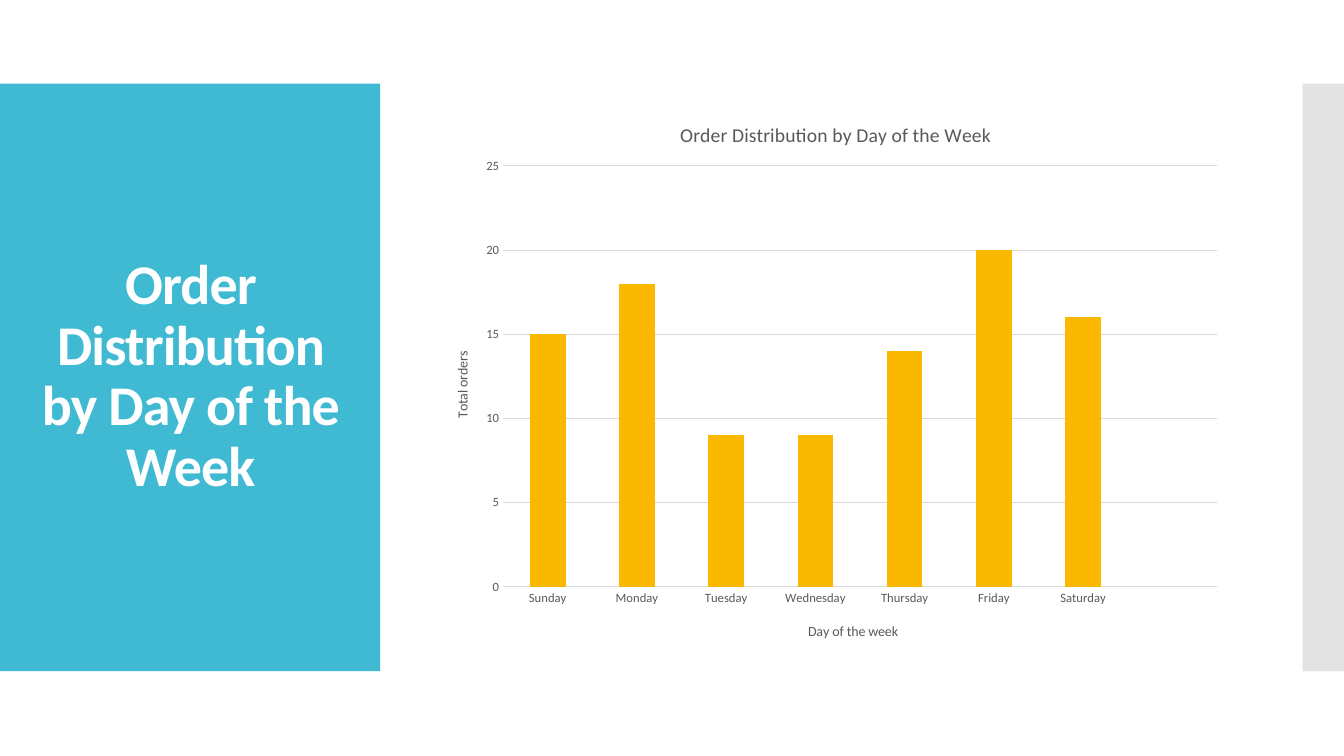
"""Build the slide on order distribution by day of the week."""
from dataclasses import dataclass
from typing import Optional

from lxml import etree
from pptx import Presentation
from pptx import util as u
from pptx.chart import data as feed
from pptx.dml.color import RGBColor
from pptx.enum import chart as kinds, shapes, text
from pptx.oxml import ns, parse_xml


@dataclass(frozen=True)
class Theme:
    """Hold colours and type sizes."""
    font: str = "Calibri"
    teal: str = "40BAD2"
    grey: str = "C8C8C8"
    gold: str = "FAB900"
    white: str = "FFFFFF"
    ink: str = "595959"
    grid: str = "D9D9D9"
    head: float = 40
    title: float = 14
    label: float = 10
    tick: float = 9
    rule: float = 0.75


@dataclass(frozen=True)
class Band:
    """Describe a side band of the slide."""
    left: float
    width: float
    fill: str
    alpha: Optional[int] = None


@dataclass(frozen=True)
class Label:
    """Describe a chart title and its place in the chart."""
    words: str
    size: float
    x: float
    y: float


THEME = Theme()
TOPIC = "Order Distribution by Day of the Week"
BANDS = [Band(0, 3.77, THEME.teal), Band(12.92, 0.42, THEME.grey, 50)]
ORDERS = {"Sunday": 15, "Monday": 18, "Tuesday": 9, "Wednesday": 9,
          "Thursday": 14, "Friday": 20, "Saturday": 16, "": None}
HEAD = Label(TOPIC, THEME.title, 0.31, 0.04)
DAYS = Label("Day of the week", THEME.label, 0.47, 0.93)
TOTAL = Label("Total orders", THEME.label, 0.03, 0.45)


def style(font, size: float, tint: str, bold: bool = False) -> None:
    """Set the face, size, colour and weight of a font."""
    font.name, font.size, font.bold = THEME.font, u.Pt(size), bold
    font.color.rgb = RGBColor.from_string(tint)


def layout(**parts) -> etree.ElementBase:
    """Return a manual chart layout."""
    inner = "".join(f'<c:{key} val="{val}"/>' for key, val in parts.items())
    return parse_xml(f'<c:layout {ns.nsdecls("c")}><c:manualLayout>{inner}'
                     '</c:manualLayout></c:layout>')


def draw_band(slide, band: Band) -> None:
    """Draw one side band."""
    box = slide.shapes.add_shape(
        shapes.MSO_SHAPE.RECTANGLE, u.Inches(band.left), u.Inches(0.83),
        u.Inches(band.width), u.Inches(5.83))
    box.shadow.inherit = False
    box.line.fill.background()
    box.fill.solid()
    box.fill.fore_color.rgb = RGBColor.from_string(band.fill)
    if band.alpha is not None:
        tint = box._element.spPr.find(".//" + ns.qn("a:srgbClr"))
        etree.SubElement(tint, ns.qn("a:alpha"), val=str(band.alpha * 1000))


def draw_head(slide) -> None:
    """Draw the heading over the teal band."""
    box = slide.shapes.add_textbox(u.Inches(0.28), u.Inches(1.23),
                                   u.Inches(3.22), u.Inches(5.03))
    frame = box.text_frame
    frame.word_wrap = True
    frame.vertical_anchor = text.MSO_ANCHOR.MIDDLE
    para = frame.paragraphs[0]
    para.alignment, para.line_spacing = text.PP_ALIGN.CENTER, 0.9
    run = para.add_run()
    run.text = TOPIC
    style(run.font, THEME.head, THEME.white, True)
    run._r.get_or_add_rPr().set("spc", "-60")


def name(title, label: Label) -> None:
    """Write and place a chart or axis title."""
    run = title.text_frame.paragraphs[0].add_run()
    run.text = label.words
    style(run.font, label.size, THEME.ink)
    node = title._element
    for old in node.findall(ns.qn("c:layout")):
        node.remove(old)
    node.find(ns.qn("c:tx")).addnext(
        layout(xMode="edge", yMode="edge", x=label.x, y=label.y))


def rule(line) -> None:
    """Set a thin grey chart line."""
    line.color.rgb = RGBColor.from_string(THEME.grid)
    line.width = u.Pt(THEME.rule)


def draw_chart(slide) -> None:
    """Draw the column chart of orders."""
    data = feed.CategoryChartData()
    data.categories = list(ORDERS)
    data.add_series("Series 1", list(ORDERS.values()))
    chart = slide.shapes.add_chart(
        kinds.XL_CHART_TYPE.COLUMN_STACKED, u.Inches(4.23), u.Inches(0.94),
        u.Inches(8), u.Inches(5.6), data).chart
    style(chart.font, THEME.label, THEME.ink)
    chart.has_legend = False
    chart.has_title = True
    chart.chart_title.include_in_layout = False
    name(chart.chart_title, HEAD)

    plot = chart.plots[0]
    plot.gap_width, plot.overlap = 150, 100
    plot.vary_by_categories = False
    fill = plot.series[0].format.fill
    fill.solid()
    fill.fore_color.rgb = RGBColor.from_string(THEME.gold)

    days, total = chart.category_axis, chart.value_axis
    for axis, label in ((days, DAYS), (total, TOTAL)):
        axis.major_tick_mark = axis.minor_tick_mark = kinds.XL_TICK_MARK.NONE
        style(axis.tick_labels.font, THEME.tick, THEME.ink)
        axis.has_title = True
        name(axis.axis_title, label)
    turn = total.axis_title.text_frame._txBody.bodyPr
    turn.set("rot", "-5400000")
    turn.set("vert", "horz")
    total.minimum_scale, total.maximum_scale, total.major_unit = 0, 25, 5
    total.format.line.fill.background()
    rule(days.format.line)
    rule(total.major_gridlines.format.line)

    area = chart._chartSpace.chart.plotArea
    for old in area.findall(ns.qn("c:layout")):
        area.remove(old)
    area.insert(0, layout(layoutTarget="inner", xMode="edge", yMode="edge",
                          x=0.095, y=0.126, w=0.885, h=0.746))


def main() -> None:
    """Build and save the slide."""
    deck = Presentation()
    deck.slide_width, deck.slide_height = u.Inches(13.33), u.Inches(7.5)
    slide = deck.slides.add_slide(deck.slide_layouts[6])
    for band in BANDS:
        draw_band(slide, band)
    draw_head(slide)
    draw_chart(slide)
    deck.save("out.pptx")


if __name__ == "__main__":
    main()
